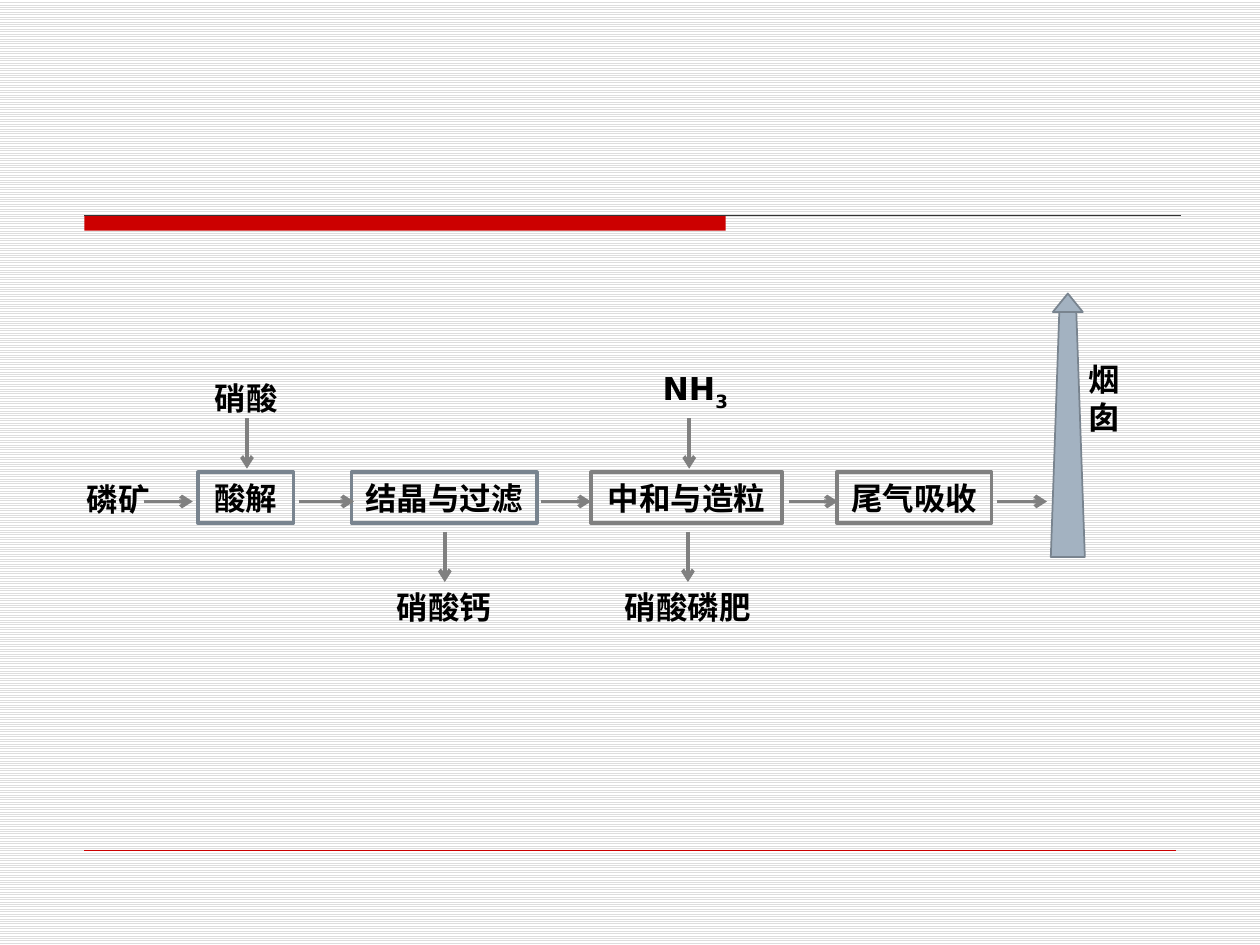
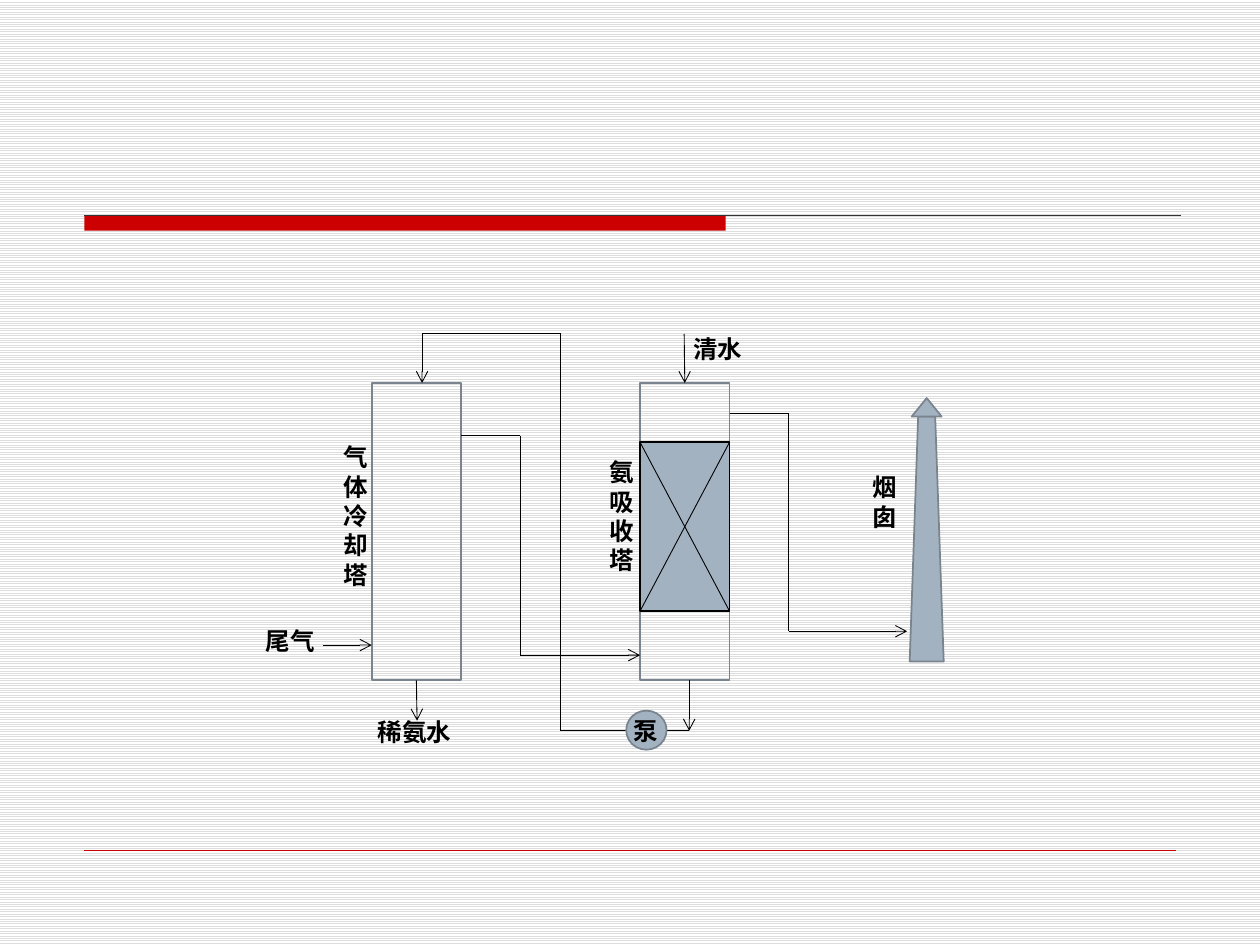
from dataclasses import dataclass
from itertools import pairwise

from lxml.etree import SubElement
from pptx import Presentation
from pptx.dml.color import RGBColor
from pptx.enum.dml import MSO_PATTERN
from pptx.enum.shapes import MSO_CONNECTOR, MSO_SHAPE
from pptx.enum.text import MSO_AUTO_SIZE, PP_ALIGN
from pptx.oxml.ns import qn
from pptx.util import Inches, Pt

FONT = "DejaVu Sans"
BLACK, GRAY, SLATE, STEEL = "000000", "808080", "79848F", "A3B2C1"
RED, RULE, STRIPE, WHITE = "CC0000", "333333", "DDDDDD", "FFFFFF"
PAGE_WIDTH, PAGE_HEIGHT = 10, 7.5


@dataclass
class Box:
    left: float
    top: float
    width: float
    height: float
    columns: float = 1
    rows: float = 1

    def point(self, column, row):
        return (self.left + column * self.width / self.columns,
                self.top + row * self.height / self.rows)

    def area(self, column, row, columns, rows):
        return Box(*self.point(column, row), columns * self.width / self.columns,
                   rows * self.height / self.rows)

    def bounds(self):
        return [Inches(n) for n in (self.left, self.top, self.width, self.height)]


def color(value):
    return RGBColor.from_string(value)


def write(shape, text, size, align=PP_ALIGN.CENTER):
    frame = shape.text_frame
    frame.word_wrap = True
    frame.auto_size = MSO_AUTO_SIZE.SHAPE_TO_FIT_TEXT
    frame.text = text
    para = frame.paragraphs[0]
    para.alignment = align
    for span in para.runs:
        style_span(span, size)
    return para


def style_span(span, size):
    span.font.name = FONT
    span.font.size = Pt(size)
    span.font.bold = True
    span.font.color.rgb = color(BLACK)


def add_label(page, box, text, size, align=PP_ALIGN.CENTER):
    return write(page.shapes.add_textbox(*box.bounds()), text, size, align)


def add_block(page, box, kind=MSO_SHAPE.RECTANGLE, fill=None, line=SLATE, weight=1):
    shape = page.shapes.add_shape(kind, *box.bounds())
    shape.shadow.inherit = False
    if fill:
        shape.fill.solid()
        shape.fill.fore_color.rgb = color(fill)
    else:
        shape.fill.background()
    if line:
        shape.line.color.rgb = color(line)
        shape.line.width = Pt(weight)
    else:
        shape.line.fill.background()
    return shape


def add_line(page, start, end, line=BLACK, weight=0.5, arrow=False):
    ends = [Inches(n) for n in (*start, *end)]
    connector = page.shapes.add_connector(MSO_CONNECTOR.STRAIGHT, *ends)
    connector.line.color.rgb = color(line)
    connector.line.width = Pt(weight)
    properties = connector._element.spPr
    if arrow:
        SubElement(properties.find(qn("a:ln")), qn("a:tailEnd"), type="arrow")
    SubElement(properties, qn("a:effectLst"))
    return connector


def add_pipe(page, box, *stops, arrow=True):
    points = [box.point(*stop) for stop in stops]
    for start, end in pairwise(points):
        add_line(page, start, end, arrow=arrow and end == points[-1])


def add_chimney(page, box):
    add_block(page, box.area(0, 0.07, 1, 0.93), MSO_SHAPE.TRAPEZOID, STEEL)
    add_block(page, box.area(0.06, 0, 0.88, 0.07), MSO_SHAPE.ISOSCELES_TRIANGLE, STEEL)


def add_page(deck):
    page = deck.slides.add_slide(deck.slide_layouts[6])
    fill = page.background.fill
    fill.patterned()
    fill.pattern = MSO_PATTERN.LIGHT_HORIZONTAL
    fill.fore_color.rgb = color(STRIPE)
    fill.back_color.rgb = color(WHITE)
    whole = Box(0, 0, PAGE_WIDTH, PAGE_HEIGHT, 100, 100)
    add_block(page, whole.area(6.7, 22.8, 50.9, 1.6), fill=RED, line=None)
    add_line(page, whole.point(6.7, 22.8), whole.point(93.7, 22.8), RULE, 0.75)
    add_line(page, whole.point(6.7, 90), whole.point(93.3, 90), RED, 0.25)
    return page


def add_process_flow(page, box):
    size, row = 18, 14.5
    steps = [("酸解", 9.8, 7.6, SLATE), ("结晶与过滤", 22, 14.7, SLATE),
             ("中和与造粒", 41, 15.2, GRAY), ("尾气吸收", 60.5, 12.3, GRAY)]
    for text, column, columns, line in steps:
        step = add_block(page, box.area(column, row, columns, 4), line=line, weight=2.25)
        write(step, text, size)

    materials = [("磷矿", 0, 14.6, 8.1), ("硝酸", 10, 6.6, 7.3),
                 ("硝酸钙", 24.5, 23.2, 9.7), ("硝酸磷肥", 42.4, 23.2, 12.6)]
    for text, column, top, columns in materials:
        add_label(page, box.area(column, top, columns, 4), text, size,
                  PP_ALIGN.LEFT if column == 0 else PP_ALIGN.CENTER)
    add_label(page, box.area(79.5, 5.1, 5.8, 7.1), "烟囱", size, PP_ALIGN.LEFT)

    ammonia = add_label(page, box.area(45.7, 5.8, 8.1, 4), "NH", size, PP_ALIGN.LEFT)
    subscript = ammonia.add_run()
    subscript.text = "3"
    style_span(subscript, size)
    subscript.font._element.set("baseline", "-25000")

    across = [(5.5, 9.4), (17.8, 22.2), (37, 41), (56.7, 60.6), (73.2, 77.2)]
    down = [(13.7, 10.2), (48.8, 10.2), (29.4, 19.2), (48.7, 19.2)]
    arrows = [((start, 16.8), (end, 16.8)) for start, end in across]
    arrows += [((column, top), (column, top + 4)) for column, top in down]
    for start, end in arrows:
        add_line(page, box.point(*start), box.point(*end), GRAY, 2.25, arrow=True)
    add_chimney(page, box.area(77.5, 0.3, 2.7, 20.9))


def add_tower(page, box, name, label_box):
    tower = add_block(page, box)
    add_label(page, label_box, name, 14)
    return tower


def add_absorption_flow(page, box):
    cooler = add_tower(page, box.area(10.5, 4.4, 7.1, 23.6), "气体冷却塔",
                       box.area(6.7, 8.6, 5.1, 12.8))
    absorber = add_tower(page, box.area(31.8, 4.4, 7.1, 23.6), "氨吸收塔",
                         box.area(27.8, 9.8, 5.1, 10.4))
    packing = box.area(31.8, 9.1, 7.1, 13.4)
    add_block(page, packing, fill=STEEL, line=BLACK)
    add_line(page, packing.point(0, 0), packing.point(1, 1))
    add_line(page, packing.point(1, 0), packing.point(0, 1))

    add_pipe(page, box, (6.6, 25.2), (10.5, 25.2))
    add_pipe(page, box, (17.6, 8.6), (22.3, 8.6), (22.3, 26), (31.8, 26))
    add_pipe(page, box, (38.9, 6.8), (43.6, 6.8), (43.6, 24.1), (53, 24.1))
    add_pipe(page, box, (35.7, 28), (35.7, 32))
    add_pipe(page, box, (35.7, 32), (25.5, 32), (25.5, 0.5), (14.5, 0.5), (14.5, 4.4))
    outlet = add_line(page, box.point(14.1, 28), box.point(14.1, 31.2), arrow=True)
    outlet.begin_connect(cooler, 2)
    inlet = add_line(page, box.point(35.3, 0.5), box.point(35.3, 4.4), arrow=True)
    inlet.end_connect(absorber, 0)

    add_block(page, box.area(30.7, 30.4, 3.2, 3.1), MSO_SHAPE.OVAL, STEEL)
    labels = [("尾气", 0.3, 23.2, 7.5, 3.4), ("稀氨水", 9.7, 30.4, 8.4, 3.4),
              ("泵", 30.2, 30.3, 4.1, 3.4), ("清水", 34.9, 0, 6.1, 3.4),
              ("烟囱", 48.3, 11, 5.8, 5.7)]
    for text, *cells in labels:
        add_label(page, box.area(*cells), text, 14)
    add_chimney(page, box.area(53.2, 5.6, 2.7, 20.9))


def main():
    deck = Presentation()
    deck.slide_width = Inches(PAGE_WIDTH)
    deck.slide_height = Inches(PAGE_HEIGHT)
    add_process_flow(add_page(deck), Box(0.59, 2.3, 8.6, 2.8, 86, 28))
    add_absorption_flow(add_page(deck), Box(1.9, 2.6, 5.6, 3.4, 56, 34))
    deck.save("out.pptx")


if __name__ == "__main__":
    main()
